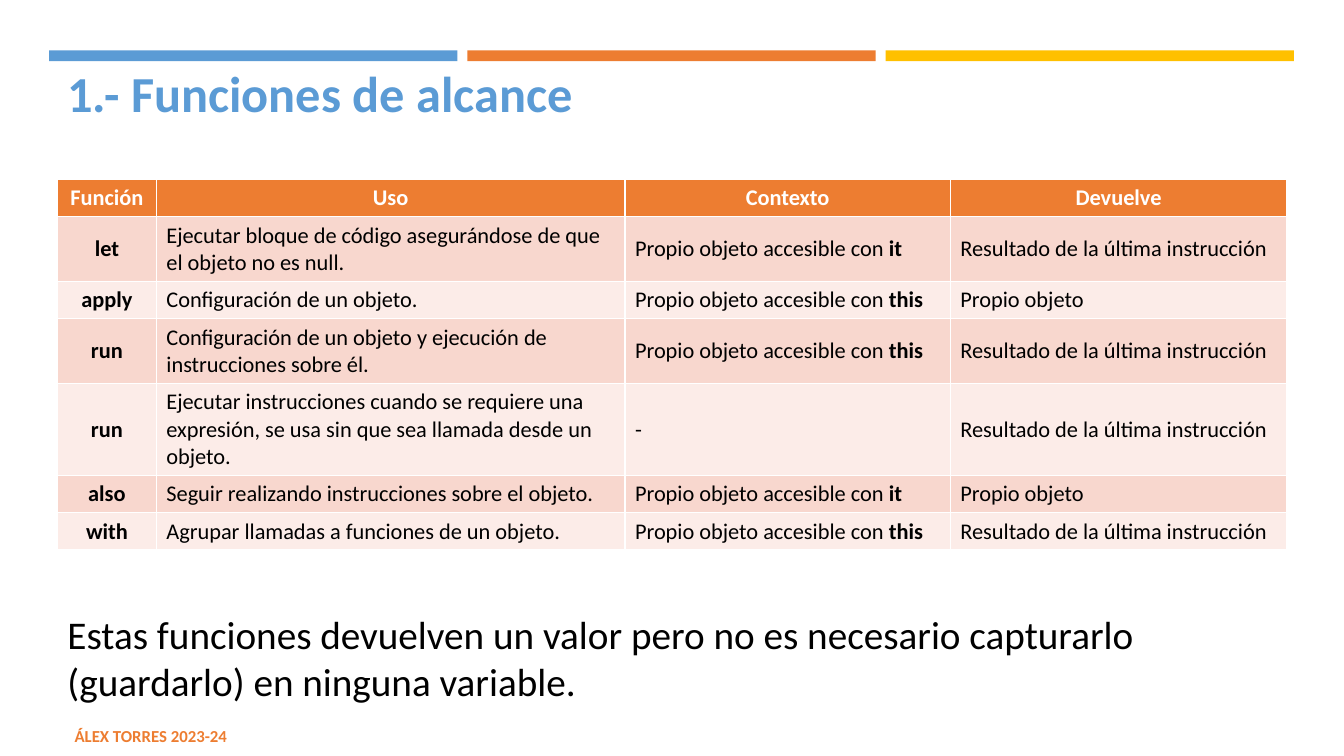
"""Build the slide on Kotlin scope functions: three bars, a title, a table and a closing note."""
import pptx
import pptx.dml.color
import pptx.enum.shapes
import pptx.enum.text
import pptx.util

Cm, Pt = pptx.util.Cm, pptx.util.Pt
Color = pptx.dml.color.RGBColor
Align, Anchor = pptx.enum.text.PP_ALIGN, pptx.enum.text.MSO_ANCHOR

BLUE = Color(0x5B, 0x9B, 0xD5)
ORANGE = Color(0xED, 0x7D, 0x31)
GOLD = Color(0xFF, 0xC0, 0x00)
WHITE = Color(0xFF, 0xFF, 0xFF)
BLACK = Color(0x00, 0x00, 0x00)
ROSE = Color(0xF8, 0xD7, 0xCE)
PALE = Color(0xFC, 0xEC, 0xE8)


def write(frame, text, color, form, align=Align.LEFT):
    """Fill a text frame, with the part after a bar in bold."""
    line = frame.paragraphs[0]
    line.alignment = align
    for place, part in enumerate(text.split("|")):
        run = line.add_run()
        run.text = part
        run.font.color.rgb = color
        look = {"name": "Calibri", **form}
        if place:
            look["bold"] = True
        for key, value in look.items():
            setattr(run.font, key, value)


deck = pptx.Presentation()
deck.slide_width, deck.slide_height = Cm(33.87), Cm(19.05)
slide = deck.slides.add_slide(deck.slide_layouts[6])

for place, color in enumerate([BLUE, ORANGE, GOLD]):
    bar = slide.shapes.add_shape(pptx.enum.shapes.MSO_SHAPE.RECTANGLE,
                                 Cm(1.24 + 10.54 * place), Cm(1.27), Cm(10.29), Cm(0.27))
    bar.shadow.inherit = False
    bar.fill.solid()
    bar.fill.fore_color.rgb = color
    bar.line.fill.background()

labels = [
    ("1.- Funciones de alcance", (1.45, 1.32, 30.98, 1.85), BLUE,
     {"size": Pt(36), "bold": True}, Anchor.TOP),
    ("Estas funciones devuelven un valor pero no es necesario capturarlo "
     "(guardarlo) en ninguna variable.", (1.45, 15.13, 30.98, 3.05), BLACK,
     {"size": Pt(28), "bold": False}, Anchor.TOP),
    ("ÁLEX TORRES 2023-24", (1.63, 18.03, 19.2, 1.02), ORANGE,
     {"size": Pt(12), "bold": True}, Anchor.MIDDLE),
]
for text, spot, color, form, anchor in labels:
    frame = slide.shapes.add_textbox(*map(Cm, spot)).text_frame
    setup = {"word_wrap": True, "vertical_anchor": anchor, "margin_left": Cm(0.25),
             "margin_right": Cm(0.25), "margin_top": Cm(0.25), "margin_bottom": Cm(0.25)}
    for key, value in setup.items():
        setattr(frame, key, value)
    write(frame, text, color, form)

SELF = "Propio objeto accesible con |"
LAST = "Resultado de la última instrucción"
rows = [
    (1, "Función", "Uso", "Contexto", "Devuelve"),
    (2, "let", "Ejecutar bloque de código asegurándose de que el objeto no es null.",
     SELF + "it", LAST),
    (1, "apply", "Configuración de un objeto.", SELF + "this", "Propio objeto"),
    (2, "run", "Configuración de un objeto y ejecución de instrucciones sobre él.",
     SELF + "this", LAST),
    (3, "run", "Ejecutar instrucciones cuando se requiere una expresión, "
     "se usa sin que sea llamada desde un objeto.", "-", LAST),
    (1, "also", "Seguir realizando instrucciones sobre el objeto.", SELF + "it", "Propio objeto"),
    (1, "with", "Agrupar llamadas a funciones de un objeto.", SELF + "this", LAST),
]
wide = [2.49, 11.81, 8.2, 8.48]
table = slide.shapes.add_table(len(rows), len(wide), Cm(1.45), Cm(4.52),
                               Cm(30.98), Cm(9.34)).table
for column, width in zip(table.columns, wide):
    column.width = Cm(width)
for down, (lines, *texts) in enumerate(rows):
    table.rows[down].height = Cm(0.25 + 0.69 * lines)
    for across, text in enumerate(texts):
        cell = table.cell(down, across)
        cell.vertical_anchor = Anchor.MIDDLE
        cell.fill.solid()
        cell.fill.fore_color.rgb = (PALE, ROSE)[down % 2] if down else ORANGE
        head = down == 0 or across == 0
        write(cell.text_frame, text, BLACK if down else WHITE,
              {"size": Pt(16), "bold": head}, Align.CENTER if head else Align.LEFT)

deck.save("out.pptx")
